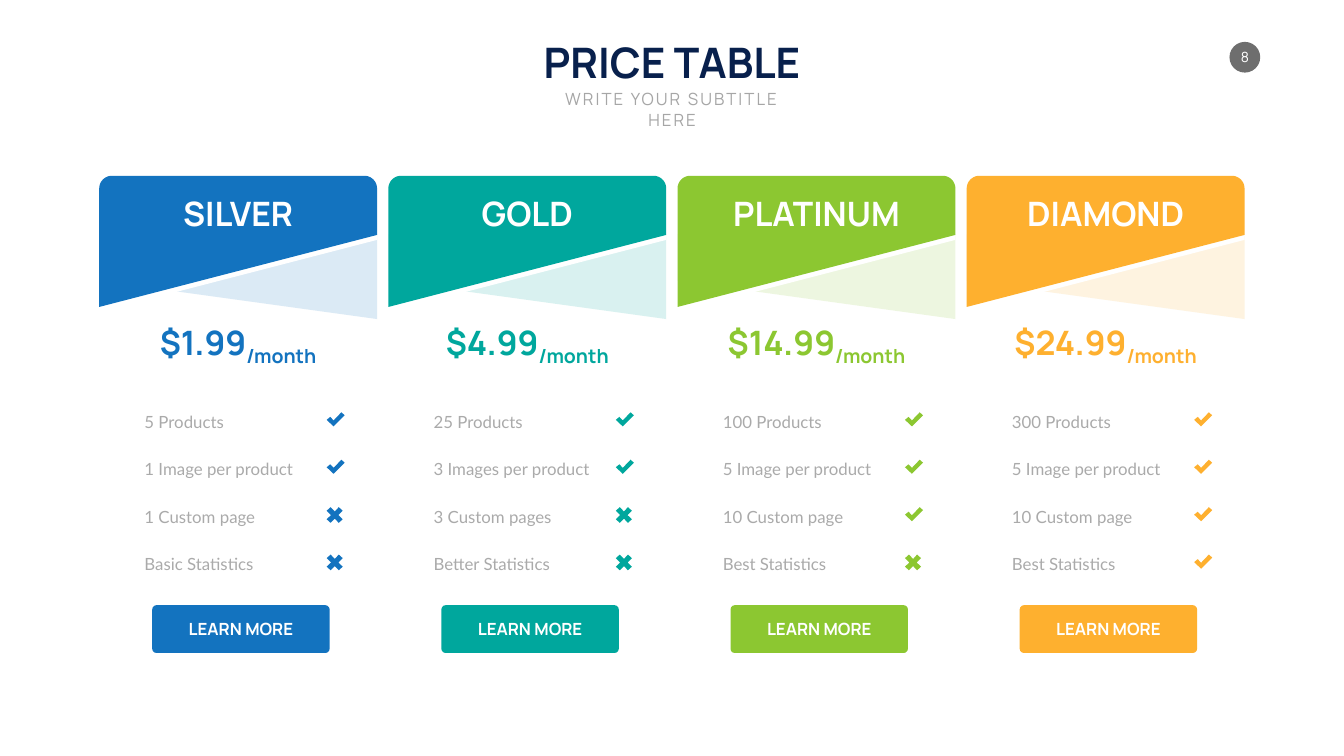
import math

from lxml import etree
from pptx import Presentation
from pptx.dml.color import RGBColor
from pptx.enum import shapes, text
from pptx.oxml.ns import qn
from pptx.util import Cm, Pt

WHITE, NAVY, GRAY = "FFFFFF", "08204C", "AAAAAA"
LEFT, TOP, WIDTH, PITCH = 5, 8.86, 14, 14.57
ROW_TOP, ROW_STEP = 20.45, 2.39
CHECK = [(0.35, 0.41), (0.18, 0.23), (0, 0.38), (0.35, 0.71), (0.91, 0.15), (0.74, 0)]
CROSS = [(0.61, 0), (0.41, 0.22), (0.2, 0), (0, 0.18), (0.22, 0.4), (0, 0.61),
         (0.2, 0.79), (0.41, 0.58), (0.61, 0.79), (0.81, 0.61), (0.59, 0.4), (0.81, 0.18)]
PLANS = [
    ("SILVER", "$1.99", "1373BF", 2,
     ["5 Products", "1 Image per product", "1 Custom page", "Basic Statistics"]),
    ("GOLD", "$4.99", "00A79D", 2,
     ["25 Products", "3 Images per product", "3 Custom pages", "Better Statistics"]),
    ("PLATINUM", "$14.99", "8CC731", 3,
     ["100 Products", "5 Image per product", "10 Custom page", "Best Statistics"]),
    ("DIAMOND", "$24.99", "FEB02F", 4,
     ["300 Products", "5 Image per product", "10 Custom page", "Best Statistics"]),
]


def rgb(value):
    """Return a colour from its hex string."""
    return RGBColor.from_string(value)


def paint(sp, color, opacity=100):
    """Fill a shape with one colour, without line or shadow."""
    sp.shadow.inherit = False
    sp.line.fill.background()
    sp.fill.solid()
    sp.fill.fore_color.rgb = rgb(color)
    if opacity < 100:
        clr = sp.fill._xPr.find(qn("a:solidFill"))[0]
        etree.SubElement(clr, qn("a:alpha"), val=str(opacity * 1000))


def write(sp, runs, size, color, bold=False, font="Manrope",
          align=text.PP_ALIGN.CENTER, anchor=text.MSO_ANCHOR.MIDDLE):
    """Write one paragraph of runs into a shape and return it."""
    tf = sp.text_frame
    tf.word_wrap = True
    tf.auto_size = text.MSO_AUTO_SIZE.NONE
    tf.vertical_anchor = anchor
    p = tf.paragraphs[0]
    p.alignment = align
    for words in runs:
        r = p.add_run()
        r.text = words
        r.font.size = Pt(size)
        r.font.name = font
        r.font.bold = bold
        r.font.color.rgb = rgb(color)
    return p


def add_text(s, x, y, w, h, runs, size, color, **style):
    """Add a text box and return its paragraph."""
    sp = s.shapes.add_textbox(Cm(x), Cm(y), Cm(w), Cm(h))
    return write(sp, runs, size, color, **style)


def add_shape(s, kind, x, y, w, h, color):
    """Add a plain preset shape."""
    sp = s.shapes.add_shape(kind, Cm(x), Cm(y), Cm(w), Cm(h))
    paint(sp, color)
    return sp


def add_outline(s, x, y, points, color, opacity=100):
    """Add a closed polygon whose points are relative to x and y."""
    start, *rest = [(Cm(x + dx), Cm(y + dy)) for dx, dy in points]
    builder = s.shapes.build_freeform(*start)
    builder.add_line_segments(rest, close=True)
    paint(builder.convert_to_shape(), color, opacity)


def banner_points(radius=0.64, steps=12):
    """Return a slanted banner with two rounded top corners."""
    points = [(WIDTH, 2.98), (0, 6.61)]
    for center, start in ((radius, 180), (WIDTH - radius, 270)):
        for i in range(steps + 1):
            a = math.radians(start + 90 * i / steps)
            points.append((center + radius * math.cos(a), radius + radius * math.sin(a)))
    return points


def add_plan(s, x, name, price, color, included, features):
    """Add one price column."""
    add_outline(s, x, 11.81, [(0, 0), (WIDTH, 0), (WIDTH, 4.27), (0, 2.34)], color, 15)
    add_outline(s, x, TOP + 0.25, banner_points(), WHITE)
    add_outline(s, x, TOP, banner_points(), color)
    add_text(s, x, 9.6, WIDTH, 2.31, [name], 48, WHITE, bold=True)
    p = add_text(s, x, 16.2, WIDTH, 2.31, [price, "/month"], 48, color, bold=True)
    p.runs[1].font._element.set("baseline", "-25000")
    for i, feature in enumerate(features):
        y = ROW_TOP + i * ROW_STEP
        p = add_text(s, x + 2.03, y, 8.61, 1.37, [feature], 24, GRAY,
                     font="Lato", align=text.PP_ALIGN.LEFT)
        p.line_spacing = Pt(35)
        add_outline(s, x + 11.46, y + 0.33, CHECK if i < included else CROSS, color)
    sp = add_shape(s, shapes.MSO_SHAPE.ROUNDED_RECTANGLE, x + 2.67, 30.5, 8.94, 2.41, color)
    sp.adjustments[0] = 0.09
    write(sp, ["LEARN MORE"], 24, WHITE, bold=True)


def add_heading(s):
    """Format the title and add the subtitle and page badge."""
    sp = s.shapes.title
    sp.left, sp.top, sp.width, sp.height = Cm(23.86), Cm(1.7), Cm(20), Cm(2.82)
    write(sp, ["PRICE TABLE"], 60, NAVY, bold=True, anchor=text.MSO_ANCHOR.TOP)
    p = add_text(s, 26.97, 4.37, 13.79, 2.3, ["WRITE YOUR SUBTITLE HERE"], 24,
                 "A6A6A6", anchor=text.MSO_ANCHOR.TOP)
    p.runs[0].font._element.set("spc", "300")
    sp = add_shape(s, shapes.MSO_SHAPE.OVAL, 61.95, 2.11, 1.55, 1.55, "6E6E6E")
    write(sp, ["8"], 20, WHITE)
    tf = sp.text_frame
    tf.margin_left = tf.margin_right = tf.margin_top = tf.margin_bottom = 0


def main():
    """Build and save the price table slide."""
    prs = Presentation()
    prs.slide_width, prs.slide_height = Cm(67.72), Cm(38.1)
    s = prs.slides.add_slide(prs.slide_layouts[5])
    add_heading(s)
    for i, plan in enumerate(PLANS):
        add_plan(s, LEFT + i * PITCH, *plan)
    prs.save("out.pptx")


if __name__ == "__main__":
    main()
